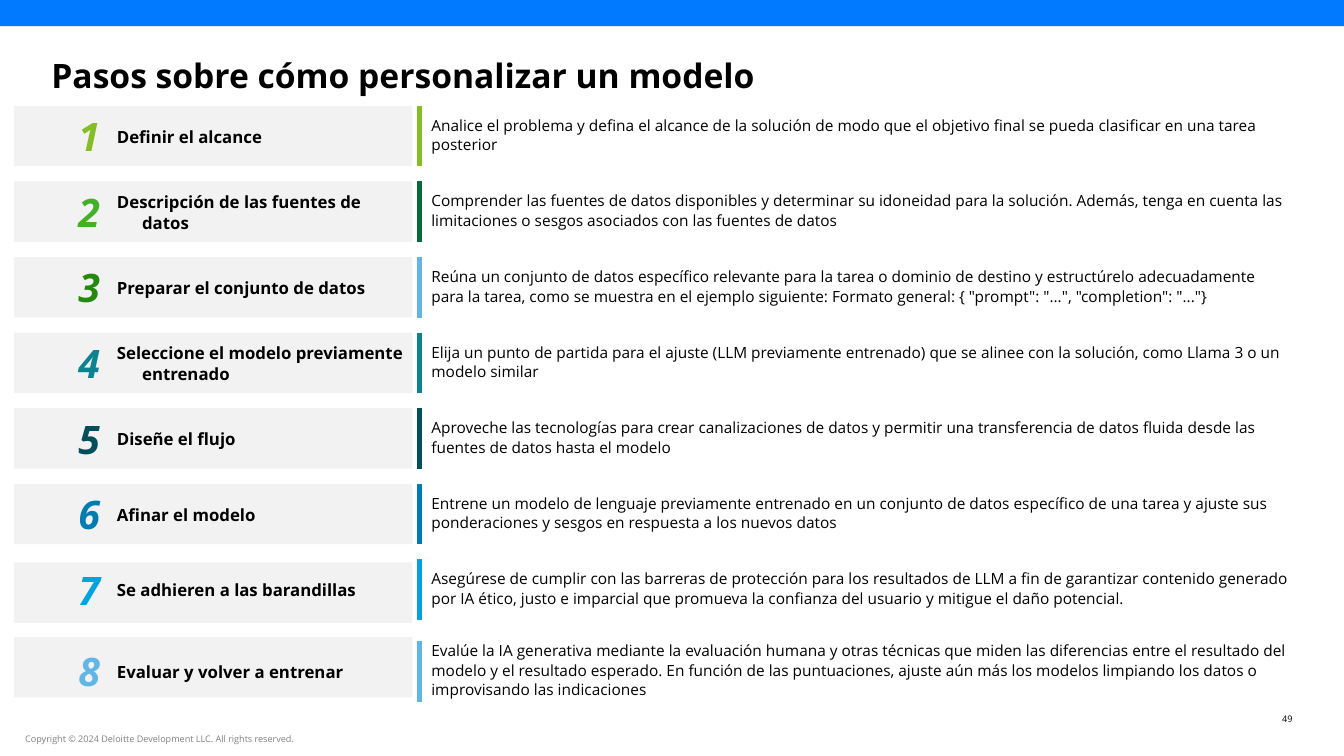
from pptx import Presentation
from pptx.dml.color import RGBColor
from pptx.enum.shapes import MSO_CONNECTOR as CONNECTOR, MSO_SHAPE as SHAPE
from pptx.enum.text import MSO_ANCHOR as ANCHOR, MSO_AUTO_SIZE as AUTO_SIZE, PP_ALIGN as ALIGN
from pptx.oxml.ns import qn
from pptx.util import Emu, Pt

COLORS = {
    "text": "000000", "muted": "808080", "panel": "F2F2F2", "banner": "027AFF",
    "lime": "86BC25", "green": "43B02A", "forest": "046A38", "leaf": "26890D",
    "sky": "62B5E5", "teal": "0C8390", "deep": "004E59", "ocean": "007CB0",
    "cyan": "00A3E0", "pale": "62B6E6",
}

FIRST_ROW, ROW_PITCH, ROW_HEIGHT = 105, 75, 60
PANEL_SHIFTS = {7: 3, 8: 2}
CONTENT_SHIFTS = {8: 6}
LABEL_WIDTHS = {2: 282, 3: 282}
DETAIL_HEIGHTS = {8: 68}

STEPS = [
    ("Definir el alcance", "lime", "lime",
     "Analice el problema y defina el alcance de la solución de modo que el objetivo final "
     "se pueda clasificar en una tarea posterior"),
    ("Descripción de las fuentes de datos", "green", "forest",
     "Comprender las fuentes de datos disponibles y determinar su idoneidad para la solución. "
     "Además, tenga en cuenta las limitaciones o sesgos asociados con las fuentes de datos"),
    ("Preparar el conjunto de datos", "leaf", "sky",
     "Reúna un conjunto de datos específico relevante para la tarea o dominio de destino y "
     "estructúrelo adecuadamente para la tarea, como se muestra en el ejemplo siguiente: "
     'Formato general: { "prompt": "...", "completion": "..."}'),
    ("Seleccione el modelo previamente entrenado", "teal", "teal",
     "Elija un punto de partida para el ajuste (LLM previamente entrenado) que se alinee con "
     "la solución, como Llama 3 o un modelo similar"),
    ("Diseñe el flujo", "deep", "deep",
     "Aproveche las tecnologías para crear canalizaciones de datos y permitir una "
     "transferencia de datos fluida desde las fuentes de datos hasta el modelo"),
    ("Afinar el modelo", "ocean", "ocean",
     "Entrene un modelo de lenguaje previamente entrenado en un conjunto de datos específico "
     "de una tarea y ajuste sus ponderaciones y sesgos en respuesta a los nuevos datos"),
    ("Se adhieren a las barandillas", "cyan", "cyan",
     "Asegúrese de cumplir con las barreras de protección para los resultados de LLM a fin de "
     "garantizar contenido generado por IA ético, justo e imparcial que promueva la confianza "
     "del usuario y mitigue el daño potencial."),
    ("Evaluar y volver a entrenar", "pale", "pale",
     "Evalúe la IA generativa mediante la evaluación humana y otras técnicas que miden las "
     "diferencias entre el resultado del modelo y el resultado esperado. En función de las "
     "puntuaciones, ajuste aún más los modelos limpiando los datos o improvisando las "
     "indicaciones"),
]


def px(value):
    return Emu(value * 9144)


def color(name):
    return RGBColor.from_string(COLORS[name])


class SlideBuilder:
    """Draws styled elements on one slide, measured in hundredths of an inch."""

    font_name = "Open Sans"

    def __init__(self, slide):
        self.slide = slide

    def style(self, shape, text, size, fill="text", bold=False, italic=False,
              align=ALIGN.LEFT, anchor=ANCHOR.TOP, inset=(0, 0), spacing=None, hanging=0):
        frame = shape.text_frame
        frame.text = text
        frame.word_wrap = True
        frame.auto_size = AUTO_SIZE.NONE
        frame.vertical_anchor = anchor
        frame.margin_left = frame.margin_right = px(inset[0])
        frame.margin_top = frame.margin_bottom = px(inset[1])
        paragraph = frame.paragraphs[0]
        paragraph.alignment = align
        if spacing:
            paragraph.line_spacing = spacing
        if hanging:
            properties = paragraph._p.get_or_add_pPr()
            properties.set("marL", str(px(hanging)))
            properties.set("indent", str(px(-hanging)))
        font = paragraph.runs[0].font
        font.name, font.size = self.font_name, Pt(size)
        font.bold, font.italic = bold, italic
        font.color.rgb = color(fill)

    def title(self, text, left, top, width, height):
        shape = self.slide.shapes.title
        shape.left, shape.top, shape.width, shape.height = map(px, (left, top, width, height))
        self.style(shape, text, 24, bold=True, anchor=ANCHOR.MIDDLE)

    def text(self, text, left, top, width, height, size, **options):
        shape = self.slide.shapes.add_textbox(*map(px, (left, top, width, height)))
        self.style(shape, text, size, **options)

    def rectangle(self, left, top, width, height, fill):
        shape = self.slide.shapes.add_shape(
            SHAPE.RECTANGLE, *map(px, (left, top, width, height)))
        shape.shadow.inherit = False
        shape.fill.solid()
        shape.fill.fore_color.rgb = color(fill)
        shape.line.fill.background()

    def vertical_line(self, x, top, height, stroke):
        line = self.slide.shapes.add_connector(
            CONNECTOR.STRAIGHT, *map(px, (x, top, x, top + height)))
        line.line.color.rgb = color(stroke)
        line.line.width = Pt(3)
        properties = line._element.spPr
        properties.append(properties.makeelement(qn("a:effectLst"), {}))

    def step(self, number, label, number_color, line_color, detail):
        row = FIRST_ROW + (number - 1) * ROW_PITCH
        self.rectangle(14, row + PANEL_SHIFTS.get(number, 0), 395, ROW_HEIGHT, "panel")
        top = row + CONTENT_SHIFTS.get(number, 0)
        self.vertical_line(416, top, ROW_HEIGHT, line_color)
        self.text(str(number), 49, top + 5, 79, 50, 28, fill=number_color, bold=True,
                  italic=True, align=ALIGN.CENTER, anchor=ANCHOR.MIDDLE)
        self.text(label, 116, top + 5, LABEL_WIDTHS.get(number, 294), 50, 12, bold=True,
                  anchor=ANCHOR.MIDDLE, spacing=1.06, hanging=25)
        height = DETAIL_HEIGHTS.get(number, 48)
        self.text(detail, 418, top + 28 - height // 2, 874, height, 11,
                  inset=(10, 5), spacing=1.06)


def main():
    presentation = Presentation()
    presentation.slide_width, presentation.slide_height = px(1333), px(750)
    builder = SlideBuilder(presentation.slides.add_slide(presentation.slide_layouts[5]))
    builder.rectangle(0, 0, 1333, 26, "banner")
    builder.title("Pasos sobre cómo personalizar un modelo", 51, 56, 1231, 37)
    for number, step in enumerate(STEPS, 1):
        builder.step(number, *step)
    builder.text("49", 1248, 708, 34, 11, 6.5, align=ALIGN.RIGHT)
    builder.text("Copyright © 2024 Deloitte Development LLC. All rights reserved.",
                 25, 728, 586, 11, 6.5, fill="muted")
    presentation.save("out.pptx")


if __name__ == "__main__":
    main()
